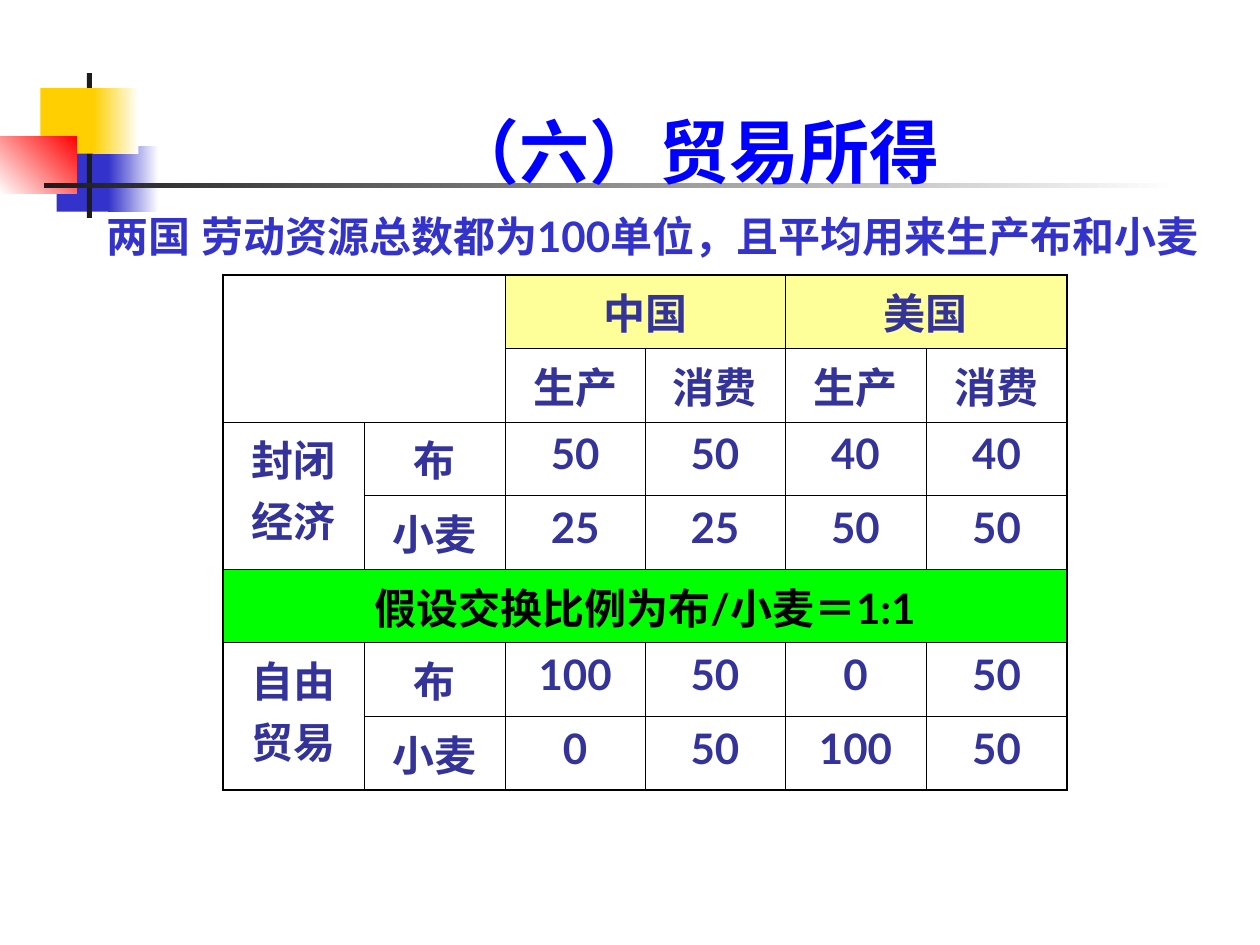
from dataclasses import dataclass
from typing import Optional

from lxml.etree import SubElement
from pptx import Presentation
from pptx.dml.color import RGBColor
from pptx.enum.shapes import MSO_SHAPE
from pptx.enum.text import MSO_ANCHOR, PP_ALIGN
from pptx.oxml.ns import qn
from pptx.util import Inches, Pt

FONT = "Lato"
COLORS = {
    "white": "FFFFFF",
    "black": "000000",
    "charcoal": "1C1C1C",
    "blue": "3333CC",
    "gold": "FFCF01",
    "red": "FF0000",
    "title": "0000FF",
    "cell text": "333399",
    "country": "FFFF99",
    "exchange": "00FF00",
}
THIN, THICK = Pt(0.45), Pt(1.08)
NO_STYLE = "{2D5ABB26-0587-4C30-8999-92F81FD0307C}"


@dataclass
class Block:
    left: float
    top: float
    width: float
    height: float
    color: str
    fade_from: Optional[str] = None
    angle: int = 180


@dataclass
class Entry:
    row: int
    column: int
    text: str
    rows: int = 1
    columns: int = 1
    fill: Optional[str] = None
    color: str = "cell text"


BLOCKS = [
    Block(0.45, 1.16, 0.46, 0.52, "blue"),
    Block(0.86, 1.16, 0.4, 0.52, "blue", "white"),
    Block(0.69, 0.58, 0.04, 1.15, "charcoal"),
    Block(0.32, 0.7, 0.48, 0.52, "gold"),
    Block(0.74, 0.7, 0.36, 0.52, "gold", "white"),
    Block(0, 1.08, 0.61, 0.46, "white", "red", 225),
    Block(0.35, 1.45, 9, 0.04, "charcoal", "white"),
]
HEADINGS = [
    Entry(0, 0, "", rows=2, columns=2),
    Entry(0, 2, "中国", columns=2, fill="country"),
    Entry(0, 4, "美国", columns=2, fill="country"),
    Entry(2, 0, "封闭经济", rows=2),
    Entry(4, 0, "假设交换比例为布/小麦＝1:1", columns=6, fill="exchange", color="black"),
    Entry(5, 0, "自由贸易", rows=2),
]
# First row and column of each run of single cells, then its texts
SINGLES = [
    (1, 2, ["生产", "消费", "生产", "消费"]),
    (2, 1, ["布", "50", "50", "40", "40"]),
    (3, 1, ["小麦", "25", "25", "50", "50"]),
    (5, 1, ["布", "100", "50", "0", "50"]),
    (6, 1, ["小麦", "0", "50", "100", "50"]),
]
COLUMN_WIDTHS = [1.12, 1.12, 1.11, 1.11, 1.12, 1.12]
ROW_COUNT, TABLE_HEIGHT = 7, 4.09


def rgb(name: str) -> RGBColor:
    return RGBColor.from_string(COLORS[name])


def draw_block(page, block: Block) -> None:
    shape = page.shapes.add_shape(
        MSO_SHAPE.RECTANGLE, Inches(block.left), Inches(block.top),
        Inches(block.width), Inches(block.height))
    shape.shadow.inherit = False
    shape.line.fill.background()
    if block.fade_from is None:
        shape.fill.solid()
        shape.fill.fore_color.rgb = rgb(block.color)
        return
    shape.fill.gradient()
    shape.fill.gradient_angle = block.angle
    for stop, name in zip(shape.fill.gradient_stops, (block.fade_from, block.color)):
        stop.color.rgb = rgb(name)


def set_font(paragraph, size: int, color: str) -> None:
    paragraph.font.name = FONT
    paragraph.font.size = Pt(size)
    paragraph.font.bold = True
    paragraph.font.color.rgb = rgb(color)


def draw_text(page, left: float, top: float, width: float, height: float, text: str,
              size: int, color: str, align=PP_ALIGN.LEFT, anchor=MSO_ANCHOR.TOP) -> None:
    box = page.shapes.add_textbox(Inches(left), Inches(top), Inches(width), Inches(height))
    frame = box.text_frame
    frame.word_wrap = True
    frame.vertical_anchor = anchor
    paragraph = frame.paragraphs[0]
    paragraph.alignment = align
    span = paragraph.add_run()
    span.text = text
    set_font(paragraph, size, color)
    # The East Asian font decides the line height of Chinese text
    SubElement(span.font._element, qn("a:ea"), typeface=FONT)


def draw_borders(cell, entry: Entry) -> None:
    """Thick lines on the table's outer edge, thin ones inside."""
    outer = {
        "a:lnL": entry.column == 0,
        "a:lnR": entry.column + entry.columns == len(COLUMN_WIDTHS),
        "a:lnT": entry.row == 0,
        "a:lnB": entry.row + entry.rows == ROW_COUNT,
    }
    properties = cell._tc.get_or_add_tcPr()
    for tag, is_outer in outer.items():
        line = SubElement(properties, qn(tag), w=str(THICK if is_outer else THIN))
        fill = SubElement(line, qn("a:solidFill"))
        SubElement(fill, qn("a:srgbClr"), val=COLORS["black"])


def draw_entry(table, entry: Entry) -> None:
    cell = table.cell(entry.row, entry.column)
    if entry.rows * entry.columns > 1:
        cell.merge(table.cell(entry.row + entry.rows - 1, entry.column + entry.columns - 1))
    cell.margin_left = cell.margin_right = Inches(0.08)
    cell.margin_top = cell.margin_bottom = Inches(0.05)
    draw_borders(cell, entry)
    if entry.fill:
        cell.fill.solid()
        cell.fill.fore_color.rgb = rgb(entry.fill)
    else:
        cell.fill.background()
    cell.text = entry.text
    paragraph = cell.text_frame.paragraphs[0]
    paragraph.alignment = PP_ALIGN.CENTER
    set_font(paragraph, 24, entry.color)


def draw_table(page) -> None:
    frame = page.shapes.add_table(
        ROW_COUNT, len(COLUMN_WIDTHS), Inches(1.77), Inches(2.18),
        Inches(sum(COLUMN_WIDTHS)), Inches(TABLE_HEIGHT))
    table = frame.table
    table.first_row = table.horz_banding = False
    table._tbl.tblPr.find(qn("a:tableStyleId")).text = NO_STYLE
    for column, width in zip(table.columns, COLUMN_WIDTHS):
        column.width = Inches(width)
    for row in table.rows:
        row.height = Inches(TABLE_HEIGHT / ROW_COUNT)
    singles = [Entry(row, first + offset, text)
               for row, first, texts in SINGLES
               for offset, text in enumerate(texts)]
    for entry in HEADINGS + singles:
        draw_entry(table, entry)


def main() -> None:
    deck = Presentation()
    deck.slide_width, deck.slide_height = Inches(10), Inches(7.5)
    page = deck.slides.add_slide(deck.slide_layouts[6])
    for block in BLOCKS:
        draw_block(page, block)
    draw_text(page, 1.25, 0.33, 8.52, 1.25, "（六）贸易所得", 40, "title",
              PP_ALIGN.CENTER, MSO_ANCHOR.BOTTOM)
    draw_table(page)
    draw_text(page, 0.75, 1.62, 8.98, 0.9,
              "两国 劳动资源总数都为100单位，且平均用来生产布和小麦", 24, "blue")
    deck.save("out.pptx")


if __name__ == "__main__":
    main()
